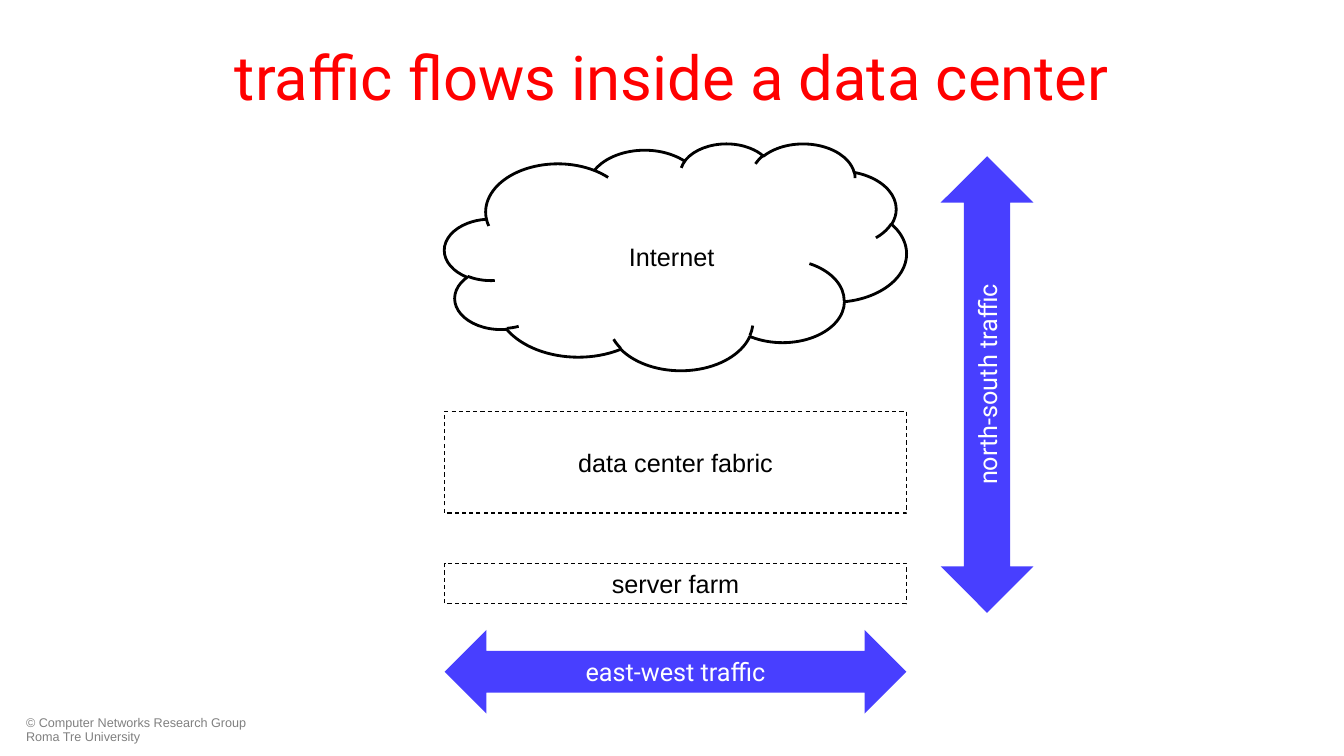
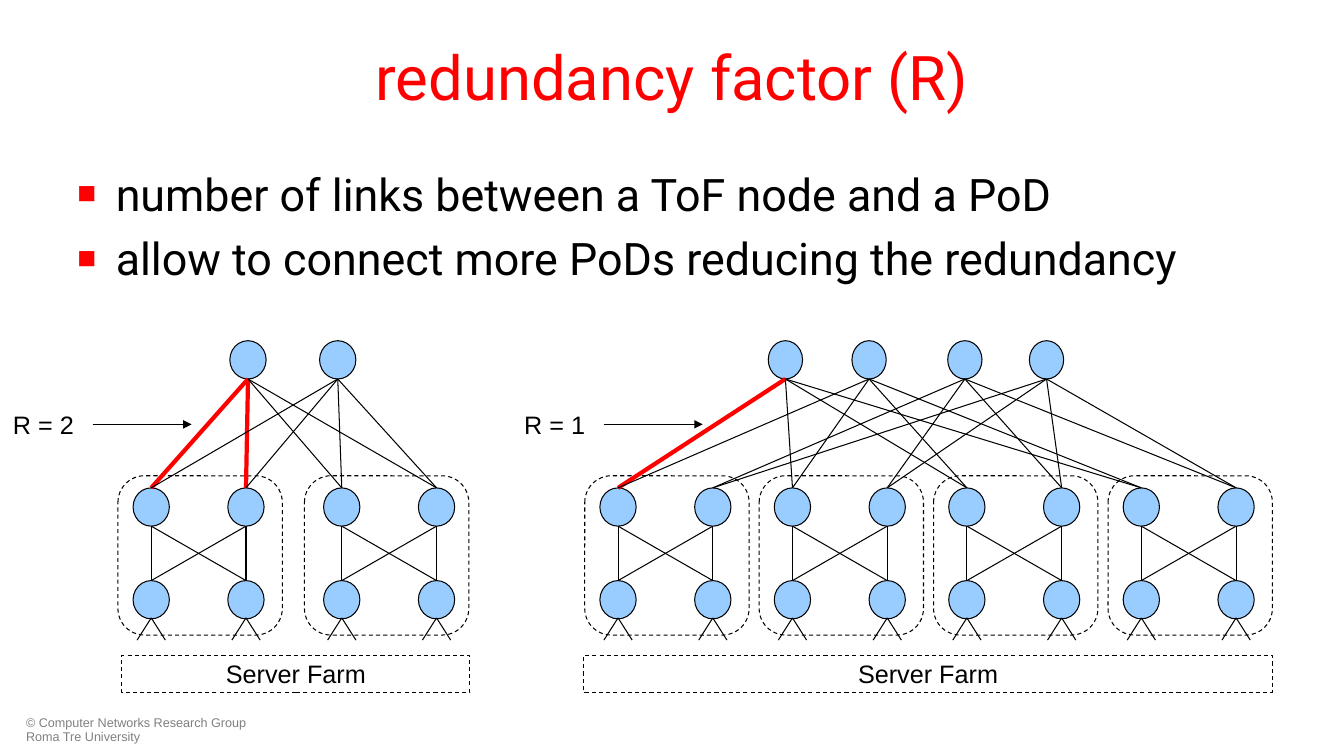
"""Build two slides on traffic and redundancy in data center networks."""
import pptx
import pptx.util
import pptx.dml.color
import pptx.enum.dml
import pptx.enum.shapes
import pptx.enum.text
import pptx.oxml.ns
import lxml.etree

Inches = pptx.util.Inches
Pt = pptx.util.Pt
RGBColor = pptx.dml.color.RGBColor
SHAPE = pptx.enum.shapes.MSO_SHAPE
ALIGN = pptx.enum.text.PP_ALIGN
ANCHOR = pptx.enum.text.MSO_ANCHOR
qn = pptx.oxml.ns.qn

BLACK = RGBColor(0x00, 0x00, 0x00)
WHITE = RGBColor(0xFF, 0xFF, 0xFF)
RED = RGBColor(0xFF, 0x00, 0x00)
GRAY = RGBColor(0x80, 0x80, 0x80)
BLUE = RGBColor(0x48, 0x3F, 0xFF)
SKY = RGBColor(0x99, 0xCC, 0xFF)

PLAIN = "Arial"
FANCY = "Roboto"

TOP_Y, LEAF_Y, BASE_Y = 3.38, 4.84, 5.76
NODE_W, NODE_H = 0.36, 0.38
LEAF_GAP = 0.94


def add_tag(parent, tag, **attrs):
    return lxml.etree.SubElement(parent, qn(tag), attrs)


def write(frame, text, size=18, font=PLAIN, color=BLACK, align=ALIGN.LEFT,
          anchor=ANCHOR.TOP, wrap=True, lead=None, gap=0, bullet=None, turn=None):
    frame.word_wrap = wrap
    frame.vertical_anchor = anchor
    if turn:
        frame._txBody.bodyPr.set("vert", turn)
    for i, line in enumerate(text.split("\n")):
        para = frame.add_paragraph() if i else frame.paragraphs[0]
        if bullet:
            props = para._p.get_or_add_pPr()
            props.set("marL", str(Inches(0.38)))
            props.set("indent", str(-Inches(0.38)))
            add_tag(add_tag(props, "a:buClr"), "a:srgbClr", val=str(RED))
            add_tag(props, "a:buSzPct", val="70000")
            add_tag(props, "a:buFont", typeface=PLAIN)
            add_tag(props, "a:buChar", char=bullet)
        para.alignment = align
        if lead:
            para.line_spacing = lead
        if i and gap:
            para.space_before = Pt(gap)
        run = para.add_run()
        run.text = line
        run.font.size = Pt(size)
        run.font.name = font
        run.font.color.rgb = color


class Deck:
    def __init__(self):
        self.file = pptx.Presentation()
        self.file.slide_width = Inches(13.33)
        self.file.slide_height = Inches(7.5)
        self.slide = None

    def page(self, title):
        self.slide = self.file.slides.add_slide(self.file.slide_layouts[6])
        self.text("© Computer Networks Research Group Roma Tre University",
                  0.16, 7.06, 2.49, 0.36, size=9, color=GRAY, lead=0.9)
        self.text(title, 0.67, 0.13, 12, 1.25, size=44, font=FANCY, color=RED,
                  align=ALIGN.CENTER, anchor=ANCHOR.MIDDLE)

    def text(self, text, x, y, w, h, **style):
        box = self.slide.shapes.add_textbox(Inches(x), Inches(y), Inches(w), Inches(h))
        write(box.text_frame, text, **style)

    def shape(self, kind, x, y, w, h, fill=None, line=BLACK, width=0.75, dash=False):
        item = self.slide.shapes.add_shape(kind, Inches(x), Inches(y), Inches(w), Inches(h))
        item.shadow.inherit = False
        if fill is None:
            item.fill.background()
        else:
            item.fill.solid()
            item.fill.fore_color.rgb = fill
        if line is None:
            item.line.fill.background()
        else:
            item.line.color.rgb = line
            item.line.width = Pt(width)
        if dash:
            item.line.dash_style = pptx.enum.dml.MSO_LINE.DASH
        return item

    def box(self, text, x, y, w, h):
        item = self.shape(SHAPE.RECTANGLE, x, y, w, h, dash=True)
        item.text_frame.margin_top = item.text_frame.margin_bottom = 0
        write(item.text_frame, text, align=ALIGN.CENTER, anchor=ANCHOR.MIDDLE)

    def arrow(self, kind, text, x, y, w, h, turn=None):
        item = self.shape(kind, x, y, w, h, fill=BLUE, line=None)
        write(item.text_frame, text, font=FANCY, color=WHITE,
              align=ALIGN.CENTER, anchor=ANCHOR.MIDDLE, turn=turn)

    def line(self, x1, y1, x2, y2, color=BLACK, width=0.75, head=False):
        item = self.slide.shapes.add_connector(
            pptx.enum.shapes.MSO_CONNECTOR.STRAIGHT,
            Inches(x1), Inches(y1), Inches(x2), Inches(y2))
        item.line.color.rgb = color
        item.line.width = Pt(width)
        props = item._element.spPr
        if head:
            add_tag(props.get_or_add_ln(), "a:tailEnd", type="triangle")
        add_tag(props, "a:effectLst")

    def node(self, x, y, w=NODE_W):
        self.shape(SHAPE.OVAL, x - w / 2, y, w, NODE_H, fill=SKY)

    def pod(self, x, frame):
        self.shape(SHAPE.ROUNDED_RECTANGLE, frame, 4.72, 1.63, 1.58, dash=True)
        pair = (x, x + LEAF_GAP)
        for base in pair:
            self.node(base, LEAF_Y)
            self.node(base, BASE_Y)
            for leaf in pair:
                self.line(base, BASE_Y, leaf, LEAF_Y + NODE_H)
            for side in (-0.14, 0.14):
                self.line(base, 6.13, base + side, 6.35)

    def fabric(self, links, tops, top_w, pods, farm, label_x):
        for x, frame in pods:
            self.pod(x, frame)
        for i, top in enumerate(tops):
            self.node(top, TOP_Y, top_w)
            leaves = (0, 1) if links == 2 else (i // 2,)
            for j, (x, _) in enumerate(pods):
                style = {"color": RED, "width": 3} if i == j == 0 else {}
                for leaf in leaves:
                    self.line(top, TOP_Y + NODE_H, x + leaf * LEAF_GAP, LEAF_Y, **style)
        x, w = farm
        self.box("Server Farm", x, 6.5, w, 0.37)
        self.text(f"R = {links}", label_x, 4.01, 0.81, 0.4, wrap=False)
        self.line(label_x + 0.89, 4.21, label_x + 1.87, 4.21, head=True)


def main():
    deck = Deck()

    deck.page("traffic flows inside a data center")
    left, wide = 4.41, 4.58
    deck.shape(SHAPE.CLOUD, left, 1.42, wide, 2.25, width=2)
    deck.text("Internet", 6.14, 2.34, 1.06, 0.4, wrap=False)
    deck.box("data center fabric", left, 4.08, wide, 1.01)
    deck.box("server farm", left, 5.59, wide, 0.4)
    deck.arrow(SHAPE.UP_DOWN_ARROW, "north-south traffic", 9.33, 1.55, 0.92, 4.53,
               turn="vert270")
    deck.arrow(SHAPE.LEFT_RIGHT_ARROW, "east-west traffic", left, 6.25, wide, 0.83)

    deck.page("redundancy factor (R)")
    deck.text("number of links between a ToF node and a PoD\n"
              "allow to connect more PoDs reducing the redundancy",
              0.67, 1.6, 12, 1.4, size=32, font=FANCY, gap=7.5, bullet="■")
    deck.fabric(2, (2.46, 3.35), 0.36,
                [(1.5 + 1.89 * i, 1.17 + 1.85 * i) for i in range(2)],
                (1.21, 3.45), 0.03)
    deck.fabric(1, (7.79, 8.62, 9.57, 10.38), 0.34,
                [(6.13 + 1.73 * i, 5.8 + 1.73 * i) for i in range(4)],
                (5.79, 6.83), 5.1)

    deck.file.save("out.pptx")


if __name__ == "__main__":
    main()
